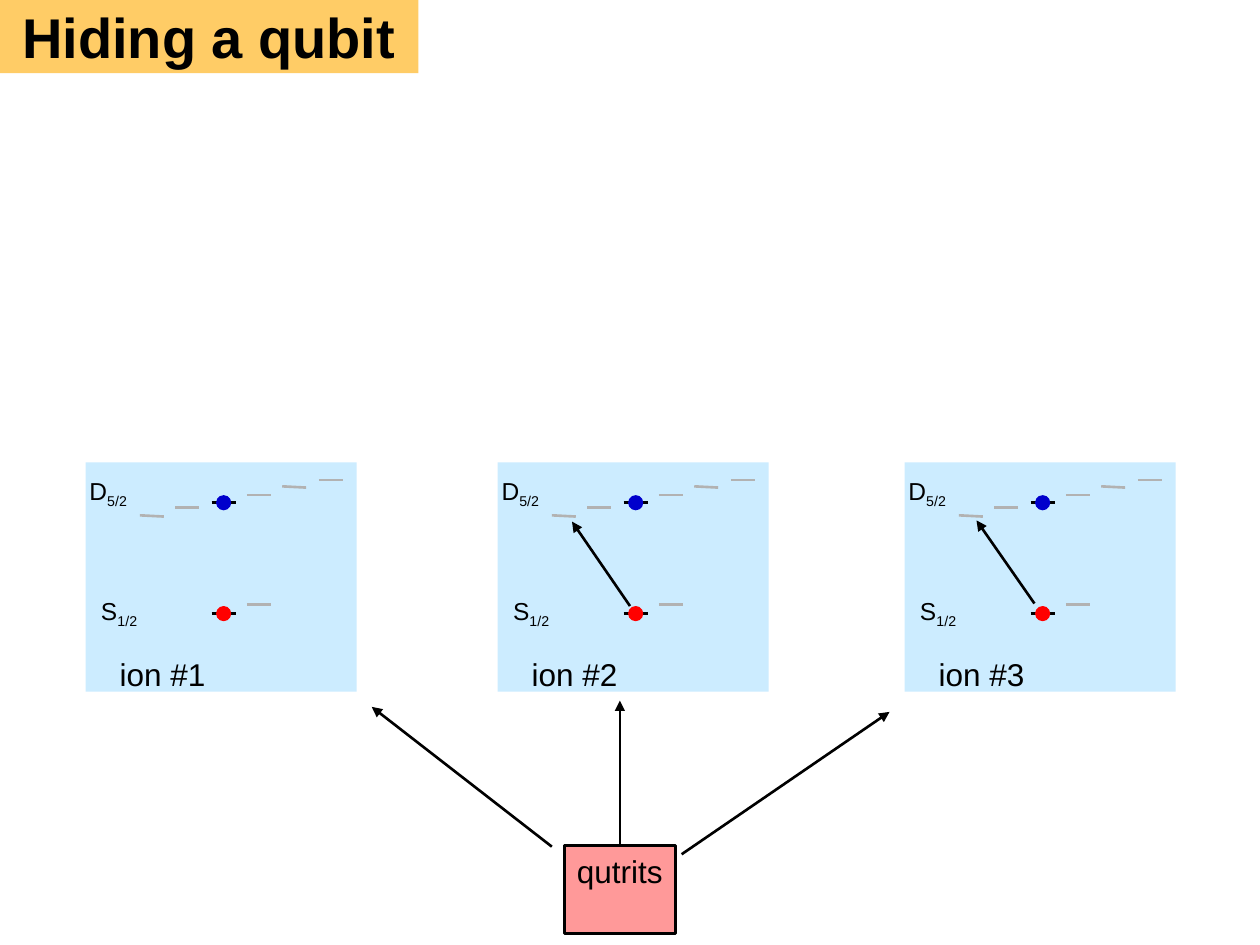
from dataclasses import dataclass

import pptx
import pptx.dml.color
import pptx.enum.shapes
import pptx.enum.text
import pptx.oxml.ns
import pptx.util
from lxml import etree
from pptx.util import Inches

SHAPE = pptx.enum.shapes.MSO_SHAPE
ALIGN = pptx.enum.text.PP_ALIGN
ANCHOR = pptx.enum.text.MSO_ANCHOR
qn = pptx.oxml.ns.qn


@dataclass(frozen=True)
class Theme:
    font: str = "Arial"
    ink: str = "000000"
    title_fill: str = "FFCC66"
    panel: str = "CCECFF"
    unused_level: str = "B2B2B2"
    d_state: str = "0000CC"
    s_state: str = "FF0000"
    qutrit_fill: str = "FF9999"
    title_size: int = 32
    label_size: int = 18
    level_size: int = 14
    line_width: float = 1.5
    dot_line_width: float = 0.75


THEME = Theme()
ION_LEFTS = (0.68, 3.95, 7.18)
PANEL_TOP = 3.67
LEVEL_WIDTH = 0.19
DOT_SIZE = 0.11

# Offsets from the top left corner of an ion panel: x, start y, end y
UNUSED_LEVELS = (
    (0.43, 0.42, 0.43), (0.71, 0.36, 0.36), (1.28, 0.26, 0.26),
    (1.56, 0.19, 0.20), (1.85, 0.14, 0.14), (1.28, 1.13, 1.13),
)
QUBIT_LEVELS = ((1.0, 0.32, THEME.d_state), (1.0, 1.2, THEME.s_state))


def rgb(code):
    return pptx.dml.color.RGBColor.from_string(code)


def add_span(para, text, size, bold=False, subscript=False):
    span = para.add_run()
    span.text = text
    span.font.name = THEME.font
    span.font.size = pptx.util.Pt(size)
    span.font.bold = bold
    span.font.color.rgb = rgb(THEME.ink)
    if subscript:
        span.font._element.set("baseline", "-25000")


def add_shape(shapes, kind, left, top, width, height, fill, line=None,
              line_width=THEME.line_width):
    shape = shapes.add_shape(kind, Inches(left), Inches(top),
                             Inches(width), Inches(height))
    shape.shadow.inherit = False
    shape.fill.solid()
    shape.fill.fore_color.rgb = rgb(fill)
    if line:
        shape.line.color.rgb = rgb(line)
        shape.line.width = pptx.util.Pt(line_width)
    else:
        shape.line.fill.background()
    return shape


def add_label(shapes, left, top, width, height, text, size, subscript=""):
    box = shapes.add_textbox(Inches(left), Inches(top),
                             Inches(width), Inches(height))
    box.text_frame.word_wrap = True
    para = box.text_frame.paragraphs[0]
    para.alignment = ALIGN.CENTER
    add_span(para, text, size)
    if subscript:
        add_span(para, subscript, size, subscript=True)


def add_line(shapes, start, end, color=THEME.ink):
    line = shapes.add_connector(pptx.enum.shapes.MSO_CONNECTOR.STRAIGHT,
                                *map(Inches, start + end))
    line.line.color.rgb = rgb(color)
    line.line.width = pptx.util.Pt(THEME.line_width)
    etree.SubElement(line._element.spPr, qn("a:effectLst"))
    return line


def add_arrow(shapes, start, end):
    arrow = add_line(shapes, start, end)
    etree.SubElement(arrow.line._get_or_add_ln(), qn("a:tailEnd"),
                     type="triangle")
    return arrow


def add_title(slide, text):
    title = slide.shapes.title
    title.left, title.top = Inches(0), Inches(0)
    title.width, title.height = Inches(3.32), Inches(0.58)
    title.fill.solid()
    title.fill.fore_color.rgb = rgb(THEME.title_fill)
    frame = title.text_frame
    frame.auto_size = pptx.enum.text.MSO_AUTO_SIZE.NONE
    frame.word_wrap = False
    frame.vertical_anchor = ANCHOR.MIDDLE
    para = frame.paragraphs[0]
    para.alignment = ALIGN.CENTER
    add_span(para, text, THEME.title_size, bold=True)


def add_ion(slide, left, number):
    """Draw one ion: its panel, Zeeman levels, qubit states and labels."""
    shapes = slide.shapes.add_group_shape().shapes
    add_shape(shapes, SHAPE.RECTANGLE, left, PANEL_TOP, 2.15, 1.82,
              THEME.panel)
    for x, start_y, end_y in UNUSED_LEVELS:
        add_line(shapes, (left + x, PANEL_TOP + start_y),
                 (left + x + LEVEL_WIDTH, PANEL_TOP + end_y),
                 THEME.unused_level)
    for x, y, color in QUBIT_LEVELS:
        level_left, level_y = left + x, PANEL_TOP + y
        add_line(shapes, (level_left, level_y),
                 (level_left + LEVEL_WIDTH, level_y))
        add_shape(shapes, SHAPE.OVAL,
                  level_left + (LEVEL_WIDTH - DOT_SIZE) / 2,
                  level_y - DOT_SIZE / 2, DOT_SIZE, DOT_SIZE,
                  color, color, THEME.dot_line_width)
    add_label(shapes, left - 0.07, 3.73, 0.5, 0.37, "D",
              THEME.level_size, "5/2")
    add_label(shapes, left + 0.02, 4.68, 0.49, 0.37, "S",
              THEME.level_size, "1/2")
    add_label(shapes, left + 0.17, 5.15, 0.88, 0.7, f"ion #{number}",
              THEME.label_size)


def add_qutrits(slide):
    """Draw the qutrits box with an arrow to each ion."""
    shapes = slide.shapes.add_group_shape().shapes
    box = add_shape(shapes, SHAPE.RECTANGLE, 4.48, 6.71, 0.88, 0.7,
                    THEME.qutrit_fill, THEME.ink)
    frame = box.text_frame
    frame.word_wrap = True
    frame.vertical_anchor = ANCHOR.TOP
    para = frame.paragraphs[0]
    para.alignment = ALIGN.LEFT
    add_span(para, "qutrits", THEME.label_size)
    add_arrow(shapes, (4.38, 6.72), (2.95, 5.61))
    middle_arrow = add_arrow(shapes, (4.92, 6.71), (4.92, 5.56))
    middle_arrow.begin_connect(box, 0)
    add_arrow(shapes, (5.41, 6.78), (7.06, 5.65))


def add_hiding_arrows(slide):
    shapes = slide.shapes.add_group_shape().shapes
    add_arrow(shapes, (5.0, 4.81), (4.54, 4.14))
    add_arrow(shapes, (8.21, 4.79), (7.75, 4.13))


def main():
    deck = pptx.Presentation()
    deck.slide_width, deck.slide_height = Inches(10), Inches(7.5)
    page = deck.slides.add_slide(deck.slide_layouts.get_by_name("Title Only"))
    add_title(page, "Hiding a qubit")
    for number, left in enumerate(ION_LEFTS, start=1):
        add_ion(page, left, number)
    add_qutrits(page)
    add_hiding_arrows(page)
    deck.save("out.pptx")


if __name__ == "__main__":
    main()
